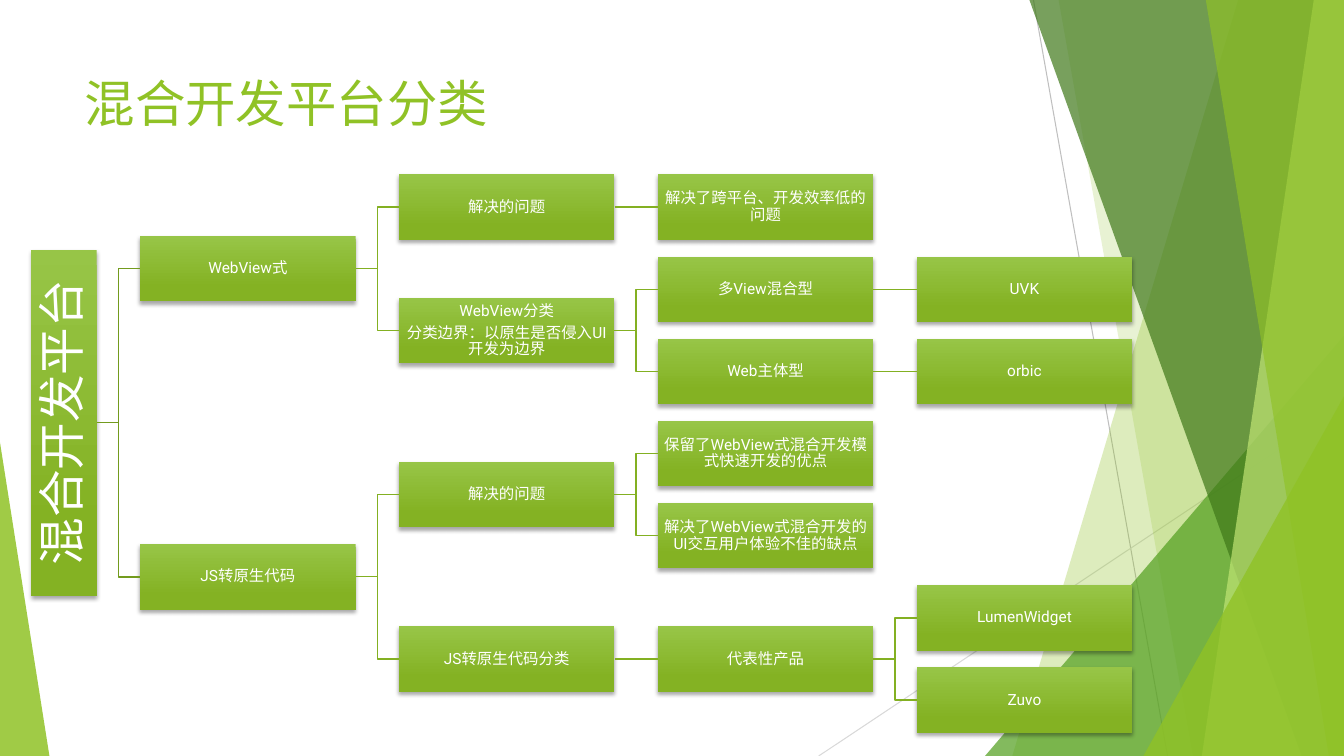
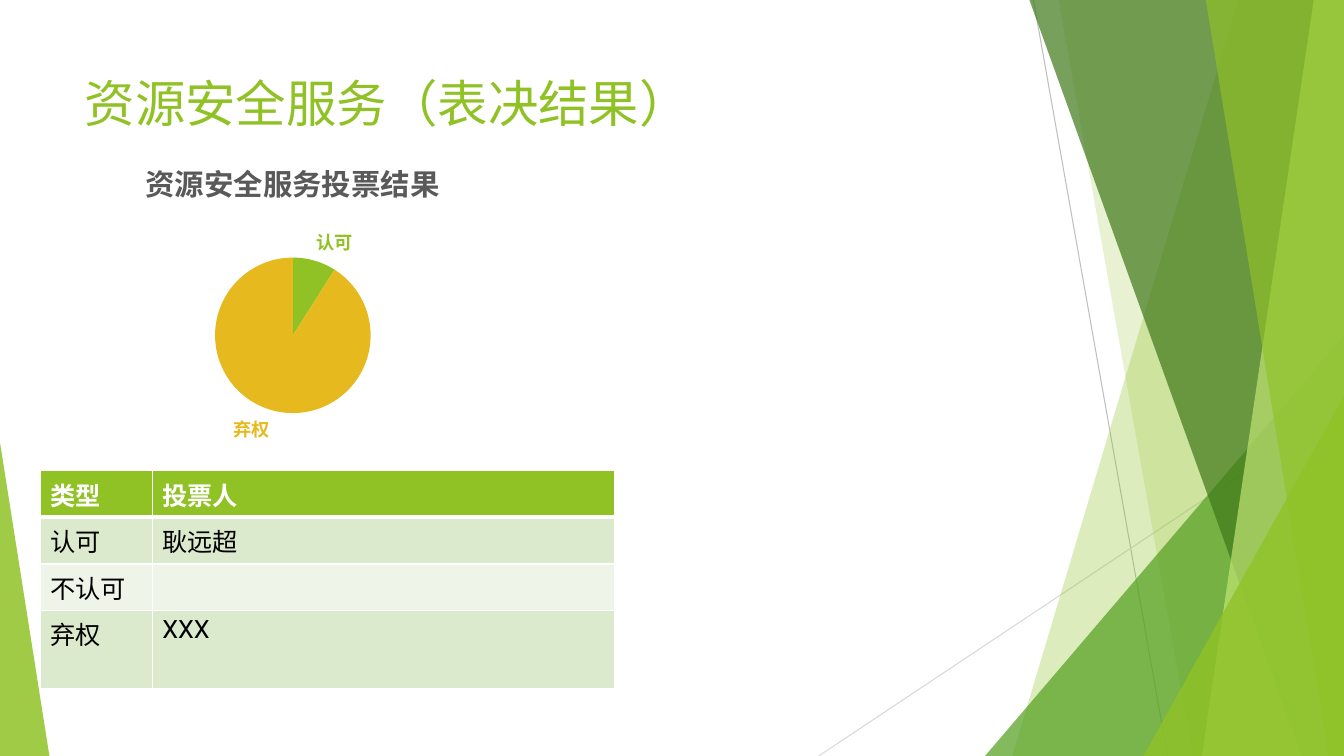
from itertools import count

from lxml import etree
from pptx import Presentation
from pptx import util as u
from pptx.chart.data import CategoryChartData
from pptx.dml.color import RGBColor
from pptx.enum import chart as charts, shapes, text
from pptx.oxml import parse_xml
from pptx.oxml.ns import nsdecls, qn

W, H = 13.33, 7.5
FONT = "Roboto"
COLORS = {
    "green": "90C226", "leaf": "54A021", "forest": "3F7819", "lime": "C0E474",
    "gold": "E6B91E", "box_top": "97C547", "box_base": "84B223",
    "trunk": "739B1E", "branch": "83B022", "rule": "BFBFBF", "pale_rule": "D9D9D9",
    "white": "FFFFFF", "black": "000000", "heading": "595959",
    "odd_row": "DBE9CD", "even_row": "EEF4E8",
}
RULES = [((10.25, 0), (11.58, H), "rule"), ((W, 4.03), (8.12, H), "pale_rule")]
PANELS = [
    ("band", 12.28, 10.04, "green", 30),
    ("band", 10.5, 11.83, "green", 20),
    ("wedge", (9.77, 3.33, 3.56), 1, "leaf", 72),
    ("band", 10.21, 12.91, "forest", 70),
    ("band", 13.03, 11.92, "lime", 70),
    ("band", 11.96, 13.18, "green", 65),
    ("wedge", (11.34, 3.93, 1.99), 1, "green", 80),
    ("wedge", (0, 4.39, 0.49), 0, "green", 85),
]
PLATFORMS = {"混合开发平台": {
    "WebView式": {
        "解决的问题": {"解决了跨平台、开发效率低的问题": {}},
        "WebView分类\n分类边界：以原生是否侵入UI开发为边界": {
            "多View混合型": {"UVK": {}},
            "Web主体型": {"orbic": {}},
        },
    },
    "JS转原生代码": {
        "解决的问题": {
            "保留了WebView式混合开发模式快速开发的优点": {},
            "解决了WebView式混合开发的UI交互用户体验不佳的缺点": {},
        },
        "JS转原生代码分类": {"代表性产品": {"LumenWidget": {}, "Zuvo": {}}},
    },
}}
VOTES = [("认可", 9, "green"), ("不认可", 0, "leaf"), ("弃权", 91, "gold")]
VOTERS = [("类型", "投票人"), ("认可", "耿远超"), ("不认可", ""), ("弃权", "XXX")]


def rgb(name):
    """Return the named colour."""
    return RGBColor.from_string(COLORS[name])


def inches(*lengths):
    """Turn lengths in inches into slide units."""
    return [u.Inches(length) for length in lengths]


def style_font(font, size, color, bold=False):
    """Set the face, size, colour and weight of a font."""
    font.name, font.size, font.bold = FONT, u.Pt(size), bold
    font.color.rgb = rgb(color)


def draw_line(slide, kind, start, end, color, width):
    """Draw a connector without a shadow."""
    line = slide.shapes.add_connector(kind, *inches(*start, *end))
    line.line.color.rgb = rgb(color)
    line.line.width = u.Pt(width)
    etree.SubElement(line.element.spPr, qn("a:effectLst"))
    return line


def draw_panel(slide, kind, place, slant, color, opacity):
    """Draw one translucent band or wedge reaching down to the slide's foot."""
    if kind == "band":
        top_x, foot_x, right, foot = inches(place, slant, W, H)
        outline = slide.shapes.build_freeform(top_x, 0, 1.0)
        outline.add_line_segments([(right, 0), (right, foot), (foot_x, foot)])
        panel = outline.convert_to_shape()
    else:
        left, top, width = place
        panel = slide.shapes.add_shape(
            shapes.MSO_SHAPE.ISOSCELES_TRIANGLE, *inches(left, top, width, H - top))
        panel.adjustments[0] = slant
    panel.shadow.inherit = False
    panel.line.fill.background()
    panel.fill.solid()
    panel.fill.fore_color.rgb = rgb(color)
    tint = panel.element.spPr.find(qn("a:solidFill"))[0]
    etree.SubElement(tint, qn("a:alpha"), val=str(opacity * 1000))


def build_backdrop(slide):
    """Draw the shared decoration and hand it to the slide's layout."""
    layout = slide.slide_layout
    for holder in list(layout.placeholders):
        if holder.placeholder_format.idx:
            holder.element.getparent().remove(holder.element)
    for start, end, color in RULES:
        draw_line(slide, shapes.MSO_CONNECTOR.STRAIGHT, start, end, color, 0.75)
    for panel in PANELS:
        draw_panel(slide, *panel)
    decoration = [s for s in slide.shapes if not s.is_placeholder]
    for depth, part in enumerate(decoration, start=2):
        layout.shapes.element.insert(depth, part.element)


def set_title(slide, words):
    """Place and format the slide's title."""
    title = slide.shapes.title
    title.left, title.top, title.width, title.height = inches(0.74, 0.67, 9.4, 1.44)
    frame = title.text_frame
    frame.text = words
    frame.vertical_anchor = text.MSO_ANCHOR.TOP
    frame.paragraphs[0].alignment = text.PP_ALIGN.LEFT
    style_font(frame.paragraphs[0].font, 36, "green")


def draw_node(slide, box, label, size, upright):
    """Draw one box of the tree with its label."""
    node = slide.shapes.add_shape(shapes.MSO_SHAPE.RECTANGLE, *inches(*box))
    node.line.fill.background()
    node.fill.gradient()
    node.fill.gradient_angle = 270
    for stop, color, position in zip(
            node.fill.gradient_stops, ("box_top", "box_base"), (0, 0.78)):
        stop.color.rgb, stop.position = rgb(color), position
    node.shadow.inherit = False
    node.element.spPr.find(qn("a:effectLst")).append(parse_xml(
        f'<a:outerShdw {nsdecls("a")} blurRad="{u.Pt(3)}" dist="{u.Pt(2)}" dir="5400000"'
        ' rotWithShape="0"><a:srgbClr val="000000"><a:alpha val="35000"/></a:srgbClr>'
        '</a:outerShdw>'))
    frame = node.text_frame
    frame.text = label
    frame.word_wrap = True
    frame.vertical_anchor = text.MSO_ANCHOR.MIDDLE
    frame.margin_left = frame.margin_right = u.Inches(0.01)
    frame.margin_top = frame.margin_bottom = u.Inches(0.01)
    if upright:
        frame._txBody.bodyPr.set("vert", "vert270")
    for paragraph in frame.paragraphs:
        paragraph.alignment = text.PP_ALIGN.CENTER
        paragraph.line_spacing = 0.9
        paragraph.space_after = u.Pt(size * 0.35)
        style_font(paragraph.font, size, "white")
    return node


def draw_tree(slide, box, tree, levels=4, leaves=7):
    """Draw a tree from left to right, each parent centred on its children."""
    left, top, width, height = box
    thick, gap, root_height = 0.65, 0.43, 3.43
    wide = (width - thick) / levels - gap
    pitch = (height - thick) / (leaves - 1)
    rows = count()

    def place(label, children, level):
        """Draw a branch and return its box and the height of its middle."""
        branches = [place(*child, level + 1) for child in children.items()]
        if branches:
            middle = (branches[0][1] + branches[-1][1]) / 2
        else:
            middle = top + thick / 2 + next(rows) * pitch
        if level:
            x = left + thick + gap + (level - 1) * (wide + gap)
            area = (x, middle - thick / 2, wide, thick)
        else:
            area = (left, middle - root_height / 2, thick, root_height)
        node = draw_node(slide, area, label, 11 if level else 34, not level)
        start = (area[0] + area[2], middle)
        kind = (shapes.MSO_CONNECTOR.ELBOW if len(branches) > 1
                else shapes.MSO_CONNECTOR.STRAIGHT)
        for child, child_middle in branches:
            link = draw_line(slide, kind, start, (start[0] + gap, child_middle),
                             "branch" if level else "trunk", 1)
            link.begin_connect(node, 3)
            link.end_connect(child, 1)
        return node, middle

    for root, children in tree.items():
        place(root, children, 0)


def set_layout(part, index, target, **shares):
    """Fix a chart part's place as shares of the chart."""
    for old in part.findall(qn("c:layout")):
        part.remove(old)
    layout = etree.Element(qn("c:layout"))
    manual = etree.SubElement(layout, qn("c:manualLayout"))
    if target:
        etree.SubElement(manual, qn("c:layoutTarget"), val=target)
    for axis in "xy":
        etree.SubElement(manual, qn(f"c:{axis}Mode"), val="edge")
    for name, share in shares.items():
        etree.SubElement(manual, qn(f"c:{name}"), val=str(share))
    part.insert(index, layout)


def draw_votes(slide, box, heading):
    """Draw the pie of votes with a label beside each visible slice."""
    data = CategoryChartData()
    data.categories = [name for name, _, _ in VOTES]
    data.add_series("Series 1", [share for _, share, _ in VOTES])
    pie = slide.shapes.add_chart(charts.XL_CHART_TYPE.PIE, *inches(*box), data).chart
    pie.has_legend = False
    style_font(pie.font, 10, "black")
    pie.has_title = True
    pie.chart_title.text_frame.text = heading
    style_font(pie.chart_title.text_frame.paragraphs[0].font, 21, "heading", True)
    plot = pie.plots[0]
    plot.vary_by_categories = True
    for index, (_, share, color) in enumerate(VOTES):
        point = plot.series[0].points[index]
        point.format.fill.solid()
        point.format.fill.fore_color.rgb = rgb(color)
        if share:
            style_font(point.data_label.font, 13, color, True)
            point.data_label.position = charts.XL_LABEL_POSITION.OUTSIDE_END
    root = pie.element
    for flag in root.iter(qn("c:showVal")):
        flag.set("val", "0")
    for label in root.iter(qn("c:dLbl")):
        label.find(qn("c:showCatName")).set("val", "1")
    set_layout(next(root.iter(qn("c:title"))), 1, None, x=0.15, y=0.04)
    set_layout(next(root.iter(qn("c:plotArea"))), 0, "inner", x=0.32, y=0.37, w=0.36, h=0.49)


def style_cell(cell, words, row):
    """Fill, border and format one cell of the voters' table."""
    header = row == 0
    cell.text = words
    style_font(cell.text_frame.paragraphs[0].font, 18, "white" if header else "black", header)
    cell.fill.solid()
    cell.fill.fore_color.rgb = rgb("green" if header else "odd_row" if row % 2 else "even_row")
    for index, side in enumerate("LRTB"):
        heavy = (header and side == "B") or (row == 1 and side == "T")
        cell._tc.get_or_add_tcPr().insert(index, parse_xml(
            f'<a:ln{side} {nsdecls("a")} w="{u.Pt(3 if heavy else 1)}"><a:solidFill>'
            f'<a:srgbClr val="{COLORS["white"]}"/></a:solidFill></a:ln{side}>'))


def draw_voters(slide, box):
    """Draw the table of voters by kind of vote."""
    table = slide.shapes.add_table(len(VOTERS), 2, *inches(*box)).table
    for column, width in zip(table.columns, (1.11, box[2] - 1.11)):
        column.width = u.Inches(width)
    for row, height in zip(table.rows, (0.46, 0.46, 0.46, 0.77)):
        row.height = u.Inches(height)
    for row, entries in enumerate(VOTERS):
        for column, words in enumerate(entries):
            style_cell(table.cell(row, column), words, row)


def main():
    """Build and save the two slides."""
    prs = Presentation()
    prs.slide_width, prs.slide_height = inches(W, H)
    layout = prs.slide_layouts[5]

    platforms = prs.slides.add_slide(layout)
    build_backdrop(platforms)
    set_title(platforms, "混合开发平台分类")
    draw_tree(platforms, (0.31, 1.73, 10.92, 5.54), PLATFORMS)

    results = prs.slides.add_slide(layout)
    set_title(results, "资源安全服务（表决结果）")
    draw_votes(results, (0.74, 1.39, 4.33, 3.15), "资源安全服务投票结果")
    draw_voters(results, (0.4, 4.67, 5.7, 2.15))

    prs.save("out.pptx")


if __name__ == "__main__":
    main()
